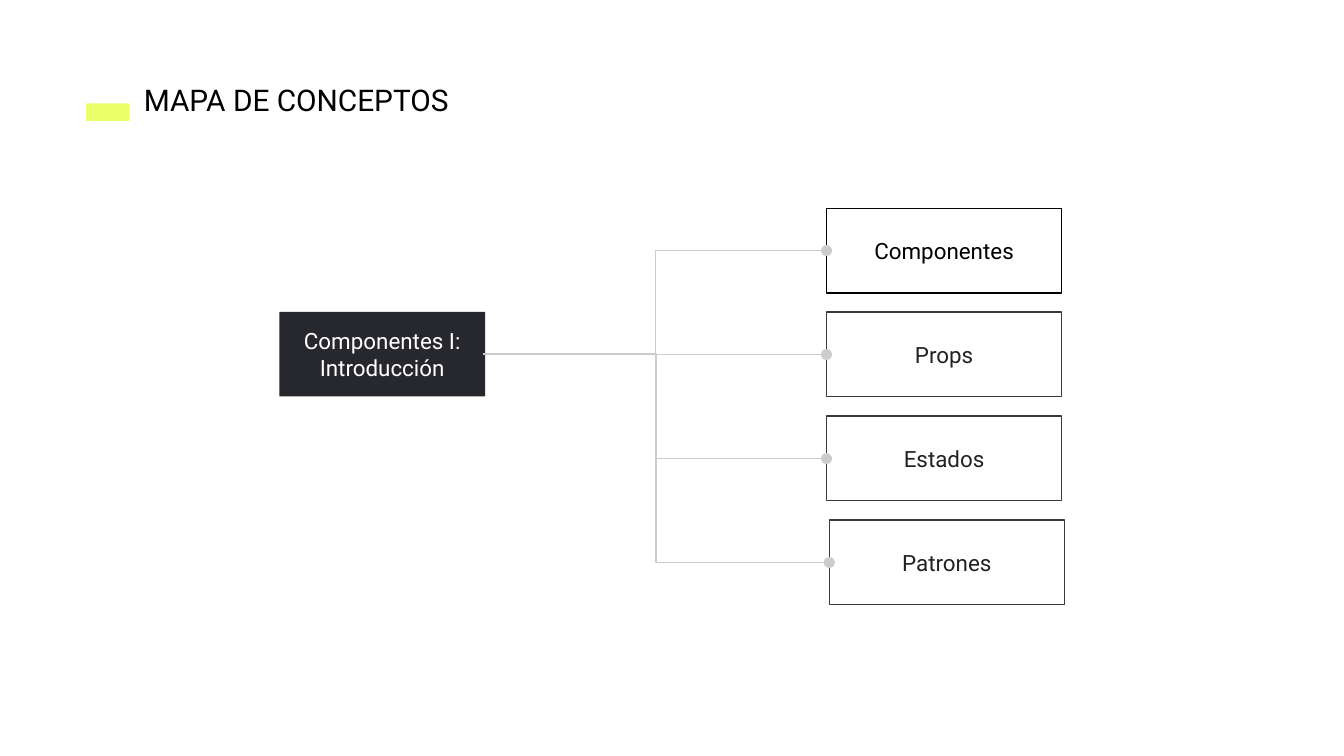
from lxml import etree
from pptx import Presentation
from pptx.dml.color import RGBColor
from pptx.enum.shapes import MSO_CONNECTOR, MSO_SHAPE
from pptx.enum.text import MSO_ANCHOR, MSO_AUTO_SIZE, PP_ALIGN
from pptx.oxml.ns import qn
from pptx.util import Inches, Pt

RECT, ELBOW = MSO_SHAPE.RECTANGLE, MSO_CONNECTOR.ELBOW
TOP, MIDDLE = MSO_ANCHOR.TOP, MSO_ANCHOR.MIDDLE
LEFT, CENTER = PP_ALIGN.LEFT, PP_ALIGN.CENTER
NO_FIT = MSO_AUTO_SIZE.NONE

# Content
TITLE = "MAPA DE CONCEPTOS"
ROOT = "Componentes I: Introducción"
TOPICS = [  # label, text colour, border colour, left edge, connector start
    ("Componentes", "black", "black", 6.15, 3.61),
    ("Props", "text", "border", 6.15, 3.61),
    ("Estados", "text", "border", 6.15, 3.61),
    ("Patrones", "text", "border", 6.17, 3.59),
]

COLORS = {"accent": "EAFF6A", "dark": "27282D", "border": "393B43",
          "text": "222222", "black": "000000", "white": "FFFFFF",
          "connector": "CCCCCC"}
FONT = "Roboto"
ROOT_LEFT, ROOT_TOP, ROOT_W = 2.08, 2.32, 1.53
FIRST_TOP, LAST_TOP = 1.55, 3.87
TOPIC_W, BOX_H = 1.75, 0.63
PITCH = (LAST_TOP - FIRST_TOP) / (len(TOPICS) - 1)
MARGIN = 0.1


def rgb(name):
    return RGBColor.from_string(COLORS[name])


def write(s, text, size, color, align, anchor):
    tf = s.text_frame
    frame = {"word_wrap": True, "auto_size": NO_FIT, "vertical_anchor": anchor}
    for side in ("left", "top", "right", "bottom"):
        frame[f"margin_{side}"] = Inches(MARGIN)
    for key, value in frame.items():
        setattr(tf, key, value)
    p = tf.paragraphs[0]
    p.alignment = align
    r = p.add_run()
    r.text = text
    r.font.name, r.font.size = FONT, Pt(size)
    r.font.color.rgb = rgb(color)


def add_box(slide, x, y, w, h, fill=None, line=None):
    s = slide.shapes.add_shape(RECT, *map(Inches, (x, y, w, h)))
    s.shadow.inherit = False
    if fill:
        s.fill.solid()
        s.fill.fore_color.rgb = rgb(fill)
    else:
        s.fill.background()
    if line:
        s.line.color.rgb = rgb(line)
        s.line.width = Pt(0.75)
    else:
        s.line.fill.background()
    return s


def add_branch(slide, x1, y1, x2, y2):
    c = slide.shapes.add_connector(ELBOW, *map(Inches, (x1, y1, x2, y2)))
    c.line.color.rgb = rgb("connector")
    c.line.width = Pt(0.75)
    sp_pr = c._element.spPr
    etree.SubElement(sp_pr.find(qn("a:ln")), qn("a:tailEnd"), type="oval")
    etree.SubElement(sp_pr, qn("a:effectLst"))


def main():
    prs = Presentation()
    prs.slide_width = Inches(10)
    prs.slide_height = prs.slide_width * 9 // 16
    slide = prs.slides.add_slide(prs.slide_layouts[5])

    # Title with accent bar
    add_box(slide, 0.64, 0.77, 0.32, 0.13, fill="accent")
    title = slide.shapes.title
    title.left, title.top = Inches(0.97), Inches(0.51)
    title.width, title.height = Inches(2.69), Inches(0.47)
    write(title, TITLE, 16, "black", LEFT, TOP)

    # Root concept
    root = add_box(slide, ROOT_LEFT, ROOT_TOP, ROOT_W, BOX_H, fill="dark")
    write(root, ROOT, 12, "white", CENTER, MIDDLE)

    # Topics, each joined to the root
    for i, (label, color, border, x, start) in enumerate(TOPICS):
        y = FIRST_TOP + i * PITCH
        topic = add_box(slide, x, y, TOPIC_W, BOX_H, line=border)
        write(topic, label, 12, color, CENTER, MIDDLE)
        add_branch(slide, start, ROOT_TOP + BOX_H / 2, x, y + BOX_H / 2)

    prs.save("out.pptx")


if __name__ == "__main__":
    main()
